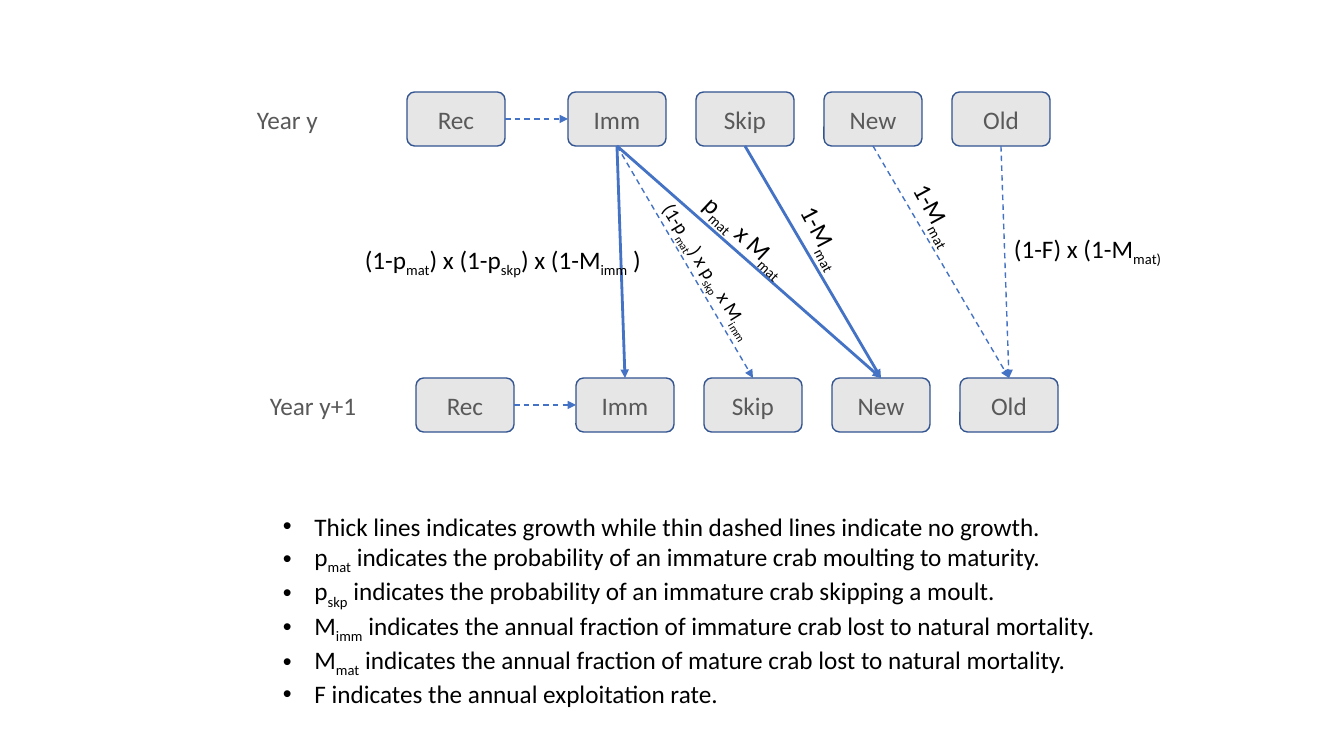
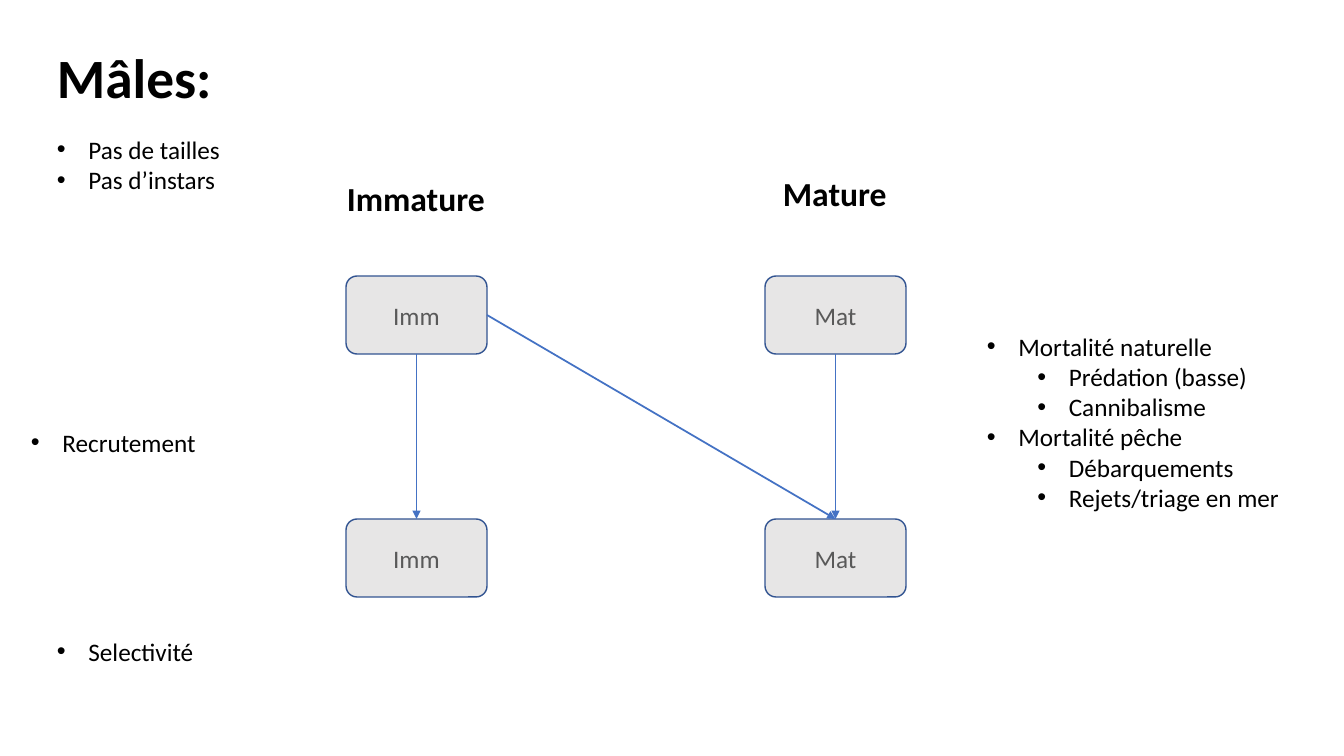
from lxml import etree
from pptx import Presentation
from pptx.dml.color import RGBColor
from pptx.enum import dml, shapes, text
from pptx.oxml import ns
from pptx.util import Emu, Pt

# Content; an underscore opens and closes a subscript
STAGES = ["Rec", "Imm", "Skip", "New", "Old"]
YEARS = [  # label, label left, label top, Rec left, Imm left, row top
    ("Year y", 247, 99, 407, 568, 92),
    ("Year y+1", 260, 385, 416, 576, 378),
]
TRANSITIONS = [("Imm", "Imm", "growth"), ("Imm", "Skip", "still"), ("Imm", "New", "growth"),
               ("Skip", "New", "growth"), ("New", "Old", "still"), ("Old", "Old", "still")]
RATES = [  # text, left, top, width, height, size, rotation
    ("(1-p_mat_) x (1-p_skp_) x (1-M_imm_ )", 355, 239, 310, 40, 18, 0),
    ("(1-p_mat_) x p_skp_ x M_imm_", 619, 258, 184, 34, 14, 58.4),
    ("p_mat_ x M_mat_", 683, 220, 138, 40, 18, 43.1),
    ("1-M_mat_", 780, 219, 90, 40, 18, 62.2),
    ("1-M_mat_", 893, 196, 90, 40, 18, 61.4),
    ("(1-F) x (1-M_mat)_", 1004, 228, 173, 40, 18, 0),
]
LEGEND = [
    (0, "Thick lines indicates growth while thin dashed lines indicate no growth."),
    (0, "p_mat_ indicates the probability of an immature crab moulting to maturity."),
    (0, "p_skp_ indicates the probability of an immature crab skipping a moult."),
    (0, "M_imm_ indicates the annual fraction of immature crab lost to natural mortality."),
    (0, "M_mat_ indicates the annual fraction of mature crab lost to natural mortality."),
    (0, "F indicates the annual exploitation rate."),
]
MALES_TITLE = "Mâles:"
MATURITY = [  # heading, left, top, width, box text, box left
    ("Immature", 337, 173, 160, "Imm", 346),
    ("Mature", 773, 168, 125, "Mat", 765),
]
MALES_ROWS = [276, 519]
MALES_NOTES = [  # left, top, width, height, wrap, lines with their level
    (47, 129, 185, 102, False, [(0, "Pas de tailles"), (0, "Pas d’instars")]),
    (21, 422, 226, 40, True, [(0, "Recrutement")]),
    (47, 631, 226, 40, True, [(0, "Selectivité")]),
    (977, 326, 346, 194, True, [
        (0, "Mortalité naturelle"), (1, "Prédation (basse)"), (1, "Cannibalisme"),
        (0, "Mortalité pêche"), (1, "Débarquements"), (1, "Rejets/triage en mer")]),
]

# Shared look
PIXEL = 914400 / 100.8
FONT = "Calibri"
BLACK, GREY, BOX_FILL, BOX_LINE, ARROW = "000000", "595959", "E7E6E6", "325491", "4472C4"
ARROWS = {"growth": (2, None), "still": (1, dml.MSO_LINE.DASH), "plain": (1.25, None)}
TOP, LEFT, BOTTOM, RIGHT = range(4)
STAGE_SIZE, STAGE_PITCH = (98, 54), 128
MALES_SIZE = (141, 78)
INDENT, LEVEL_STEP = 31.5, 50.4


def px(length):
    """Turn picture pixels into EMU."""
    return Emu(round(length * PIXEL))


def color(hex_text):
    """Turn a hex string into a colour."""
    return RGBColor.from_string(hex_text)


def apply(target, formats):
    """Set each format value on the target."""
    for name, value in formats.items():
        setattr(target, name, value)


def write(paragraph, content, size=18, ink=BLACK, bold=False):
    """Add runs to a paragraph, lowering the parts between underscores."""
    for index, piece in enumerate(content.split("_")):
        if not piece:
            continue
        run = paragraph.add_run()
        run.text = piece
        apply(run.font, {"name": FONT, "size": Pt(size), "bold": bold})
        run.font.color.rgb = color(ink)
        if index % 2:
            run._r.get_or_add_rPr().set("baseline", "-25000")


def add_bullet(paragraph, level):
    """Give a paragraph a hanging round bullet."""
    paragraph.level = level
    properties = paragraph._p.get_or_add_pPr()
    properties.set("marL", str(px(INDENT + level * LEVEL_STEP)))
    properties.set("indent", str(-px(INDENT)))
    etree.SubElement(properties, ns.qn("a:buFont")).set("typeface", "Arial")
    etree.SubElement(properties, ns.qn("a:buChar")).set("char", "•")


def add_label(slide, content, left, top, width, height, wrap=False, rotation=0, **style):
    """Add a text box holding one line, or a bulleted list of (level, line)."""
    label = slide.shapes.add_textbox(px(left), px(top), px(width), px(height))
    label.rotation = rotation
    frame = label.text_frame
    apply(frame, {"word_wrap": wrap, "auto_size": text.MSO_AUTO_SIZE.SHAPE_TO_FIT_TEXT})
    if isinstance(content, str):
        write(frame.paragraphs[0], content, **style)
        return label
    for index, (level, line) in enumerate(content):
        paragraph = frame.add_paragraph() if index else frame.paragraphs[0]
        add_bullet(paragraph, level)
        write(paragraph, line, **style)
    return label


def add_box(slide, content, left, top, size):
    """Add a rounded stage box."""
    box = slide.shapes.add_shape(shapes.MSO_SHAPE.ROUNDED_RECTANGLE,
                                 px(left), px(top), px(size[0]), px(size[1]))
    box.adjustments[0] = 0.14
    box.shadow.inherit = False
    box.fill.solid()
    box.fill.fore_color.rgb = color(BOX_FILL)
    box.line.color.rgb = color(BOX_LINE)
    box.line.width = Pt(1)
    box.text_frame.vertical_anchor = text.MSO_ANCHOR.MIDDLE
    paragraph = box.text_frame.paragraphs[0]
    paragraph.alignment = text.PP_ALIGN.CENTER
    write(paragraph, content, ink=GREY)
    return box


def add_arrow(slide, source, target, kind, start=BOTTOM, end=TOP):
    """Join two boxes with an arrow glued to their sides."""
    arrow = slide.shapes.add_connector(shapes.MSO_CONNECTOR.STRAIGHT, 0, 0, 0, 0)
    arrow.begin_connect(source, start)
    arrow.end_connect(target, end)
    width, dash = ARROWS[kind]
    arrow.line.color.rgb = color(ARROW)
    apply(arrow.line, {"width": Pt(width), "dash_style": dash})
    etree.SubElement(arrow.line._get_or_add_ln(), ns.qn("a:tailEnd")).set("type", "triangle")
    etree.SubElement(arrow._element.spPr, ns.qn("a:effectLst"))


def build_stages(slide):
    """Draw the stages of two years and the transitions between them."""
    rows = []
    for label, label_left, label_top, rec_left, imm_left, top in YEARS:
        lefts = [rec_left] + [imm_left + i * STAGE_PITCH for i in range(len(STAGES) - 1)]
        row = {stage: add_box(slide, stage, left, top, STAGE_SIZE)
               for stage, left in zip(STAGES, lefts)}
        add_arrow(slide, row["Rec"], row["Imm"], "still", RIGHT, LEFT)
        add_label(slide, label, label_left, label_top, 82 if label == "Year y" else 108, 40,
                  ink=GREY)
        rows.append(row)
    this_year, next_year = rows
    for source, target, kind in TRANSITIONS:
        add_arrow(slide, this_year[source], next_year[target], kind)
    for content, left, top, width, height, size, rotation in RATES:
        add_label(slide, content, left, top, width, height, rotation=rotation, size=size)
    add_label(slide, LEGEND, 273, 506, 846, 194)


def build_males(slide):
    """Draw the male maturity diagram with its notes."""
    title = add_label(slide, MALES_TITLE, 47, 51, 1159, 59, wrap=True, size=39.6, bold=True)
    apply(title.text_frame, {"auto_size": text.MSO_AUTO_SIZE.NONE,
                             "vertical_anchor": text.MSO_ANCHOR.MIDDLE})
    title.text_frame.paragraphs[0].line_spacing = 0.9
    columns = []
    for heading, left, top, width, stage, box_left in MATURITY:
        add_label(slide, heading, left, top, width, 50, size=24, bold=True)
        columns.append([add_box(slide, stage, box_left, row_top, MALES_SIZE)
                        for row_top in MALES_ROWS])
    for before, after in columns:
        add_arrow(slide, before, after, "plain")
    immature, mature = columns
    add_arrow(slide, immature[0], mature[1], "plain", RIGHT, TOP)
    for left, top, width, height, wrap, lines in MALES_NOTES:
        add_label(slide, lines, left, top, width, height, wrap=wrap)


presentation = Presentation()
apply(presentation, {"slide_width": px(1344), "slide_height": px(756)})
for build in (build_stages, build_males):
    build(presentation.slides.add_slide(presentation.slide_layouts[6]))
presentation.save("out.pptx")
